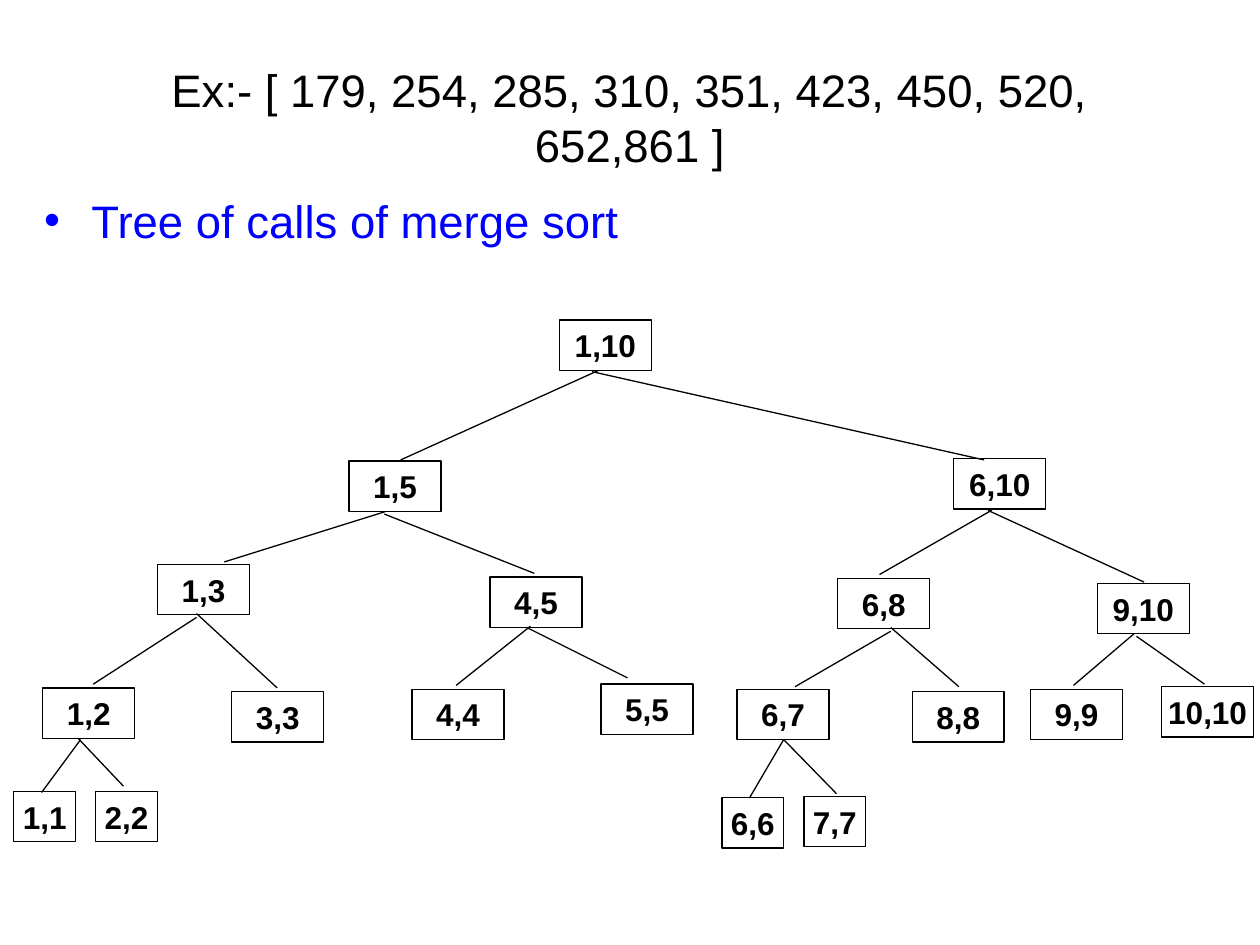
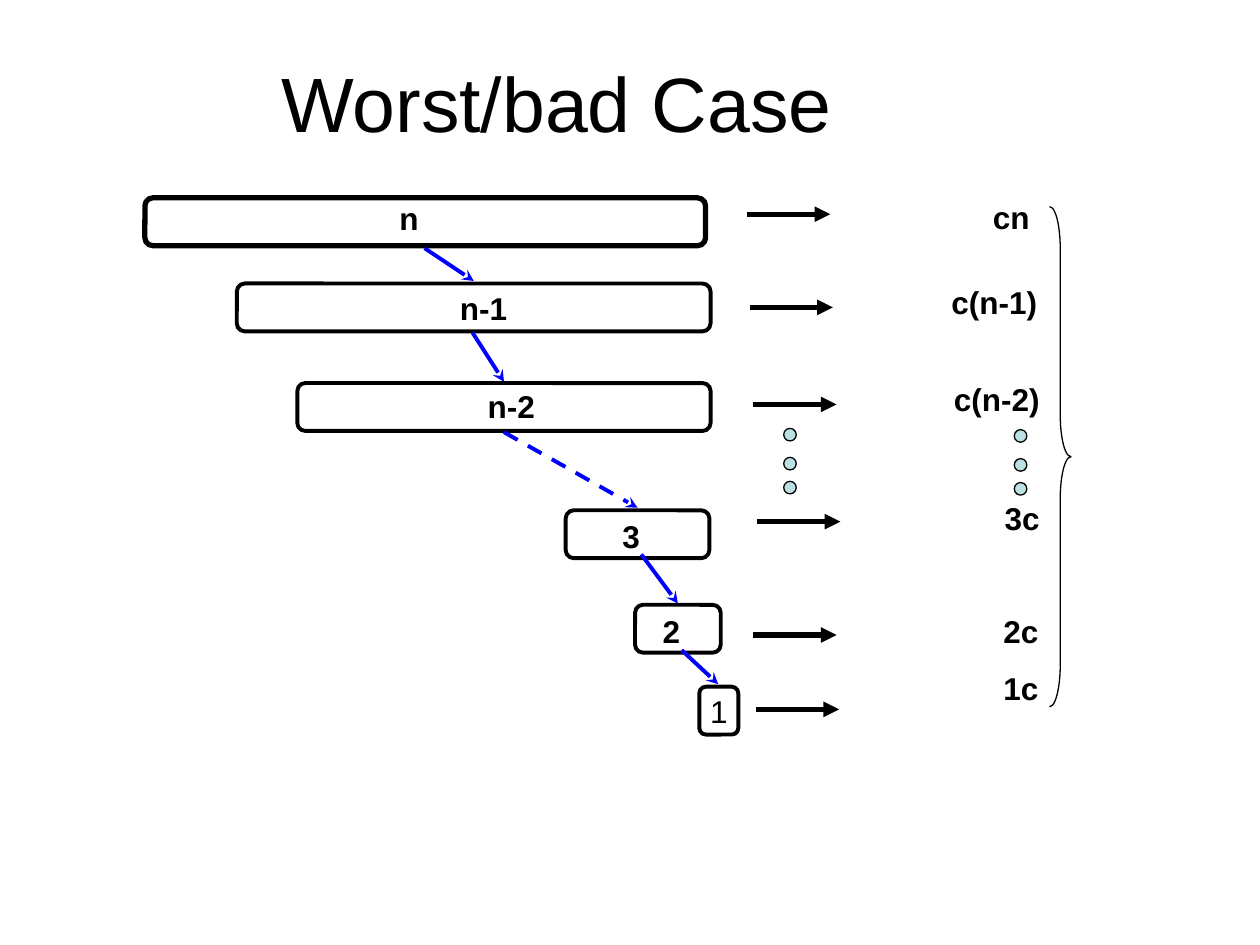
from pptx import Presentation
from pptx.dml.color import RGBColor
from pptx.enum import dml, shapes, text
from pptx.oxml.ns import qn
from pptx.util import Inches, Pt
from lxml import etree

HUE = {"ink": "000000", "blue": "0000FF", "paper": "FFFFFF", "dot": "BBE0E3"}
FONT = "Arial"
ALIGN = text.PP_ALIGN
KIND = shapes.MSO_SHAPE


def rgb(name):
    return RGBColor.from_string(HUE[name])


def write(frame, words, size=18, hue="ink", bold=False, align=ALIGN.LEFT):
    frame.text = words
    par = frame.paragraphs[0]
    par.alignment, par.space_before = align, Pt(0)
    font = par.runs[0].font
    font.name, font.size, font.bold = FONT, Pt(size), bold
    font.color.rgb = rgb(hue)


def place(shape, x, y, w, h):
    shape.left, shape.top = Inches(x), Inches(y)
    shape.width, shape.height = Inches(w), Inches(h)


def head(slide, words, box, size, anchor):
    title = slide.shapes.title
    place(title, *box)
    frame = title.text_frame
    frame.auto_size = text.MSO_AUTO_SIZE.NONE
    frame.vertical_anchor = anchor
    write(frame, words, size, align=ALIGN.CENTER)


def shape(slide, kind, x, y, w, h, fill=None, width=0.75):
    item = slide.shapes.add_shape(kind, *map(Inches, (x, y, w, h)))
    item.shadow.inherit = False
    if fill:
        item.fill.solid()
        item.fill.fore_color.rgb = rgb(fill)
    else:
        item.fill.background()
    item.line.color.rgb, item.line.width = rgb("ink"), Pt(width)
    return item


def line(slide, start, end, hue="ink", width=0.75, tip=None, dash=False):
    item = slide.shapes.add_connector(
        shapes.MSO_CONNECTOR.STRAIGHT, *map(Inches, (*start, *end)))
    item.line.color.rgb, item.line.width = rgb(hue), Pt(width)
    if dash:
        item.line.dash_style = dml.MSO_LINE.DASH
    if tip:
        etree.SubElement(item.line._get_or_add_ln(), qn("a:tailEnd"), type=tip)
    props = item._element.spPr
    etree.SubElement(props, qn("a:effectLst"))


def label(slide, words, x, y, w, h, inset=(0, 0), align=ALIGN.LEFT):
    frame = slide.shapes.add_textbox(*map(Inches, (x, y, w, h))).text_frame
    frame.margin_left = frame.margin_right = Inches(inset[0])
    frame.margin_top = frame.margin_bottom = Inches(inset[1])
    frame.word_wrap = True
    write(frame, words, bold=True, align=align)


def inside(item, words, bold):
    frame = item.text_frame
    frame.word_wrap = False
    frame.vertical_anchor = text.MSO_ANCHOR.MIDDLE
    write(frame, words, bold=bold, align=ALIGN.CENTER)


# Calls: range, left, top, then where the branch leaves the parent and ends
WIDE, SLIM = 0.73, 0.49
CALLS = [
    ("1,10", 4.44, 0.04, None, None),
    ("1,5", 2.77, 1.16, (4.75, 0.44), (3.18, 1.15)),
    ("6,10", 7.57, 1.14, (4.7, 0.45), (7.81, 1.15)),
    ("1,3", 1.25, 1.98, (3.06, 1.56), (1.78, 1.96)),
    ("4,5", 3.89, 2.08, (3.05, 1.58), (4.24, 2.05)),
    ("6,8", 6.65, 2.09, (7.87, 1.55), (6.98, 2.06)),
    ("9,10", 8.71, 2.13, (7.84, 1.55), (9.08, 2.12)),
    ("1,2", 0.34, 2.96, (1.56, 2.4), (0.74, 2.93)),
    ("3,3", 1.84, 2.99, (1.56, 2.37), (2.2, 2.96)),
    ("4,4", 3.27, 2.97, (4.21, 2.47), (3.62, 2.94)),
    ("5,5", 4.77, 2.93, (4.18, 2.48), (4.98, 2.88)),
    ("6,7", 5.85, 2.97, (7.07, 2.51), (6.31, 2.95)),
    ("8,8", 7.24, 2.99, (7.07, 2.48), (7.61, 2.95)),
    ("9,9", 8.18, 2.97, (9, 2.53), (8.52, 2.94)),
    ("10,10", 9.22, 2.95, (9.02, 2.55), (9.56, 2.93)),
    ("1,1", 0.11, 3.78, (0.64, 3.37), (0.33, 3.79)),
    ("2,2", 0.76, 3.78, (0.62, 3.36), (0.98, 3.74)),
    ("6,6", 5.73, 3.83, (6.22, 3.37), (5.95, 3.83)),
    ("7,7", 6.38, 3.82, (6.22, 3.37), (6.64, 3.8)),
]
LAST = 3.5  # calls below this depth use slim boxes


def tree(slide, x, y):
    for words, left, top, start, end in CALLS:
        w = SLIM if top > LAST else WIDE
        node = shape(slide, KIND.RECTANGLE, x + left, y + top, w, 0.4, "paper")
        inside(node, words, True)
        if start:
            line(slide, (x + start[0], y + start[1]), (x + end[0], y + end[1]))


# Bars: left, top, width, border, label, label left, label top
BARS = [
    (0.15, 0.07, 4.45, 3, "n", 2.17, 0.08),
    (0.88, 0.75, 3.76, 2.25, "n-1", 2.65, 0.79),
    (1.36, 1.54, 3.28, 2.25, "n-2", 2.87, 1.57),
    (3.49, 2.55, 1.14, 2.25, "3", 3.94, 2.6),
    (4.04, 3.3, 0.68, 2.25, "2", 4.26, 3.36),
]
# Steps from bar to bar: start, end, dashed
STEPS = [
    ((2.37, 0.47), (2.76, 0.73), False),
    ((2.75, 1.14), (3, 1.53), False),
    ((3, 1.93), (4.06, 2.53), True),
    ((4.09, 2.9), (4.38, 3.29), False),
    ((4.41, 3.66), (4.7, 3.93), False),
]


def chain(slide, x, y):
    for left, top, w, width, words, lx, ly in BARS:
        shape(slide, KIND.ROUNDED_RECTANGLE, x + left, y + top, w, 0.38,
              width=width)
        label(slide, words, x + lx, y + ly, 0.56, 0.3)
    last = shape(slide, KIND.ROUNDED_RECTANGLE, x + 4.55, y + 3.95, 0.31, 0.38,
                 width=2.25)
    inside(last, "1", False)
    for start, end, dash in STEPS:
        line(slide, (x + start[0], y + start[1]), (x + end[0], y + end[1]),
             "blue", 2.25, "stealth", dash)


# Costs: words, arrow left, arrow top, label right, label top
COSTS = [
    ("cn", 0.03, 0.2, 2.37, 0.02),
    ("c(n-1)", 0.05, 0.94, 2.43, 0.7),
    ("c(n-2)", 0.08, 1.71, 2.45, 1.47),
    ("3c", 0.11, 2.64, 2.45, 2.41),
    ("2c", 0.08, 3.54, 2.44, 3.31),
    ("1c", 0.1, 4.13, 2.44, 3.76),
]


def costs(slide, x, y):
    for words, left, top, right, ly in COSTS:
        line(slide, (x + left, y + top), (x + left + 0.66, y + top),
             width=3, tip="triangle")
        w = 0.9 if len(words) > 2 else 0.55
        label(slide, words, x + right - w, y + ly, w, 0.4, (0.1, 0.05),
              ALIGN.RIGHT)
    # Dots for the rows left out
    for left, top in ((0.32, 1.9), (2.15, 1.91)):
        for drop in (0, 0.23, 0.42):
            shape(slide, KIND.OVAL, x + left, y + top + drop, 0.1, 0.1, "dot")
    # Brace around all costs
    brace = shape(slide, KIND.RIGHT_BRACE, x + 2.43, y + 0.14, 0.17, 3.97)
    brace.adjustments[0] = 1.95


def lead(slide, words, box):
    body = slide.placeholders[1]
    place(body, *box)
    frame = body.text_frame
    frame.auto_size = text.MSO_AUTO_SIZE.NONE
    props = frame.paragraphs[0]._p.get_or_add_pPr()
    props.set("marL", str(Inches(0.38)))
    props.set("indent", str(Inches(-0.38)))
    etree.SubElement(props, qn("a:buNone"))
    write(frame, words, 26, "blue")


def calls(deck):
    slide = deck.slides.add_slide(deck.slide_layouts[1])
    head(slide, "Ex:- [ 179, 254, 285, 310, 351, 423, 450, 520, 652,861 ]",
         (0.5, 0.3, 9, 1.25), 26, text.MSO_ANCHOR.MIDDLE)
    lead(slide, "Tree of calls of merge sort", (0.25, 1.48, 9.52, 5.78))
    tree(slide, 0, 2.5)


def worst(deck):
    slide = deck.slides.add_slide(deck.slide_layouts[5])
    head(slide, "Worst/bad Case", (0.28, 0.3, 8.28, 0.92), 44,
         text.MSO_ANCHOR.BOTTOM)
    chain(slide, 1, 1.5)
    costs(slide, 5.9, 1.5)


def main():
    deck = Presentation()
    deck.slide_width, deck.slide_height = Inches(10), Inches(7.5)
    calls(deck)
    worst(deck)
    deck.save("out.pptx")


if __name__ == "__main__":
    main()
